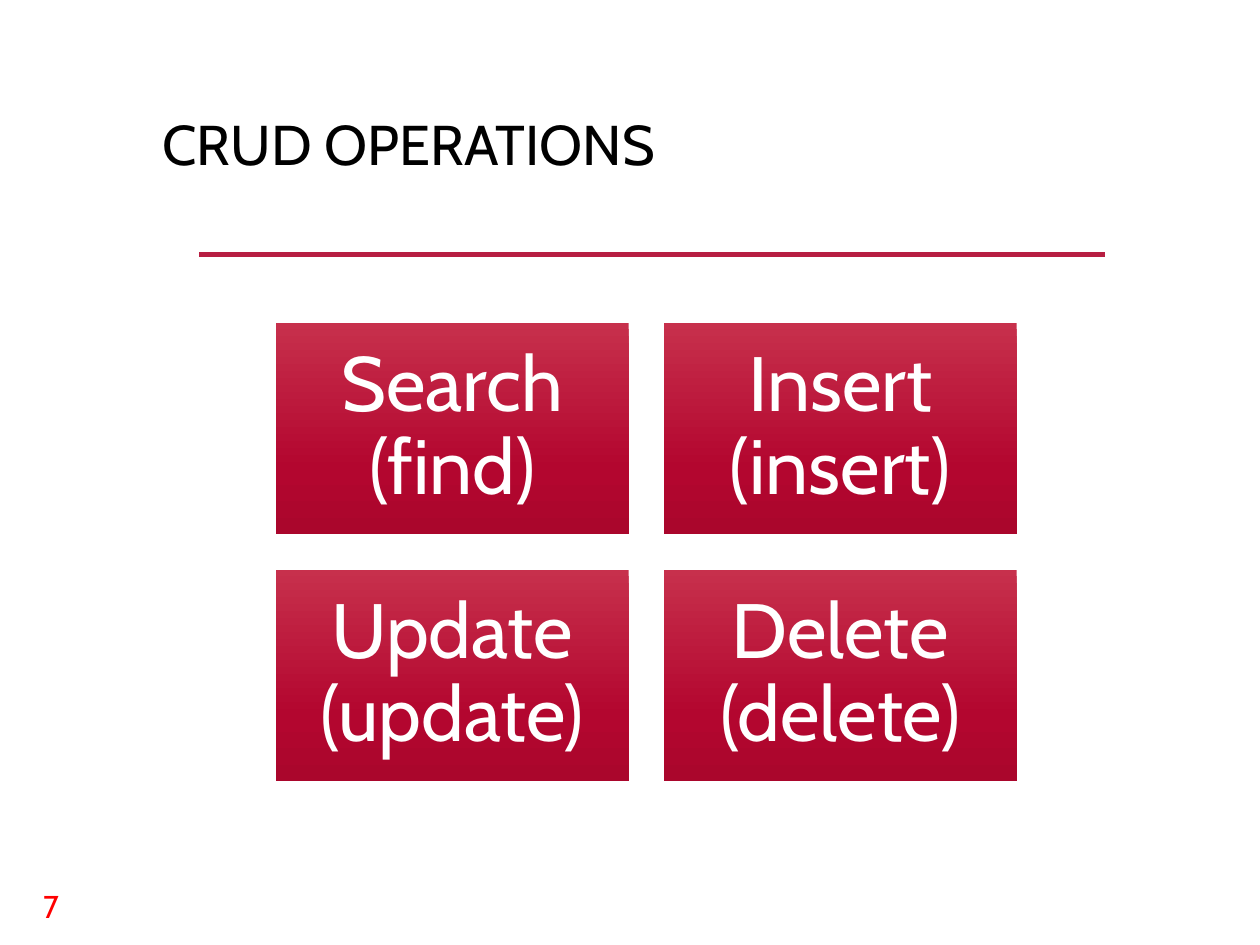
import pptx
import pptx.dml.color
import pptx.enum.shapes
import pptx.enum.text
import pptx.oxml
import pptx.oxml.ns
import pptx.util
from lxml import etree

TITLE = "CRUD OPERATIONS"
PAGE = "7"
OPERATIONS = [
    ["Search (find)", "Insert (insert)"],
    ["Update (update)", "Delete (delete)"],
]

THEME = {
    "font": "Cabin",
    "background": "FFFFFF",
    "title": ("000000", 32),
    "tile": ("FFFFFF", 44),
    "page": ("FF0000", 18),
    "rule": ("B71E42", 2.5),
    "tile_stops": [(0, "C7304C"), (69, "B3062F"), (100, "AA062C")],
}

# Inches
SLIDE = (10, 7.5)
TITLE_BOX = (1.19, 0.88, 7.88, 1.15)
PAGE_BOX = (0.07, 6.99, 0.67, 0.4)
RULE = (1.58, 2.02, 8.77, 2.02)
GRID_ORIGIN = (2.19, 2.56)
TILE = (2.8, 1.68)
GAP = 0.28
TILE_INSET = 0.18

ALIGN = pptx.enum.text.PP_ALIGN
qn = pptx.oxml.ns.qn


def inches(values):
    return [pptx.util.Inches(v) for v in values]


def rgb(color):
    return pptx.dml.color.RGBColor.from_string(color)


def write(sp, text, style, align, spacing=None):
    color, size = THEME[style]
    tf = sp.text_frame
    tf.word_wrap = True
    p = tf.paragraphs[0]
    p.text = text
    p.alignment = align
    p.line_spacing = spacing
    p.font.name = THEME["font"]
    p.font.size = pptx.util.Pt(size)
    p.font.color.rgb = rgb(color)


def fill_downward(sp, stops):
    """Fill from top to bottom with any number of (percent, colour) stops."""
    sp.fill.gradient()
    sp.fill.gradient_angle = 270
    stop_list = next(sp.element.spPr.iter(qn("a:gsLst")))
    for stop in list(stop_list):
        stop_list.remove(stop)
    for percent, color in stops:
        stop = etree.SubElement(stop_list, qn("a:gs"), pos=str(percent * 1000))
        etree.SubElement(stop, qn("a:srgbClr"), val=color)


def add_rule(s):
    color, width = THEME["rule"]
    line = s.shapes.add_connector(
        pptx.enum.shapes.MSO_CONNECTOR.STRAIGHT, *inches(RULE))
    line.line.color.rgb = rgb(color)
    line.line.width = pptx.util.Pt(width)
    etree.SubElement(line.element.spPr, qn("a:effectLst"))


def add_tile(s, text, row, col):
    left, top = (start + i * (size + GAP)
                 for start, i, size in zip(GRID_ORIGIN, (col, row), TILE))
    sp = s.shapes.add_shape(
        pptx.enum.shapes.MSO_SHAPE.RECTANGLE, *inches((left, top, *TILE)))
    sp.shadow.inherit = False
    sp.line.fill.background()
    fill_downward(sp, THEME["tile_stops"])
    write(sp, text, "tile", ALIGN.CENTER, 0.9)
    tf = sp.text_frame
    tf.vertical_anchor = pptx.enum.text.MSO_ANCHOR.MIDDLE
    tf.margin_left = tf.margin_right = pptx.util.Inches(TILE_INSET)
    tf.margin_top = tf.margin_bottom = pptx.util.Inches(TILE_INSET)


def main():
    prs = pptx.Presentation()
    prs.slide_width, prs.slide_height = inches(SLIDE)
    s = prs.slides.add_slide(prs.slide_layouts[6])
    s.background.fill.solid()
    s.background.fill.fore_color.rgb = rgb(THEME["background"])

    write(s.shapes.add_textbox(*inches(PAGE_BOX)), PAGE, "page", ALIGN.CENTER)
    add_rule(s)
    write(s.shapes.add_textbox(*inches(TITLE_BOX)), TITLE, "title", ALIGN.LEFT, 0.9)
    for row, texts in enumerate(OPERATIONS):
        for col, text in enumerate(texts):
            add_tile(s, text, row, col)
    prs.save("out.pptx")


if __name__ == "__main__":
    main()
